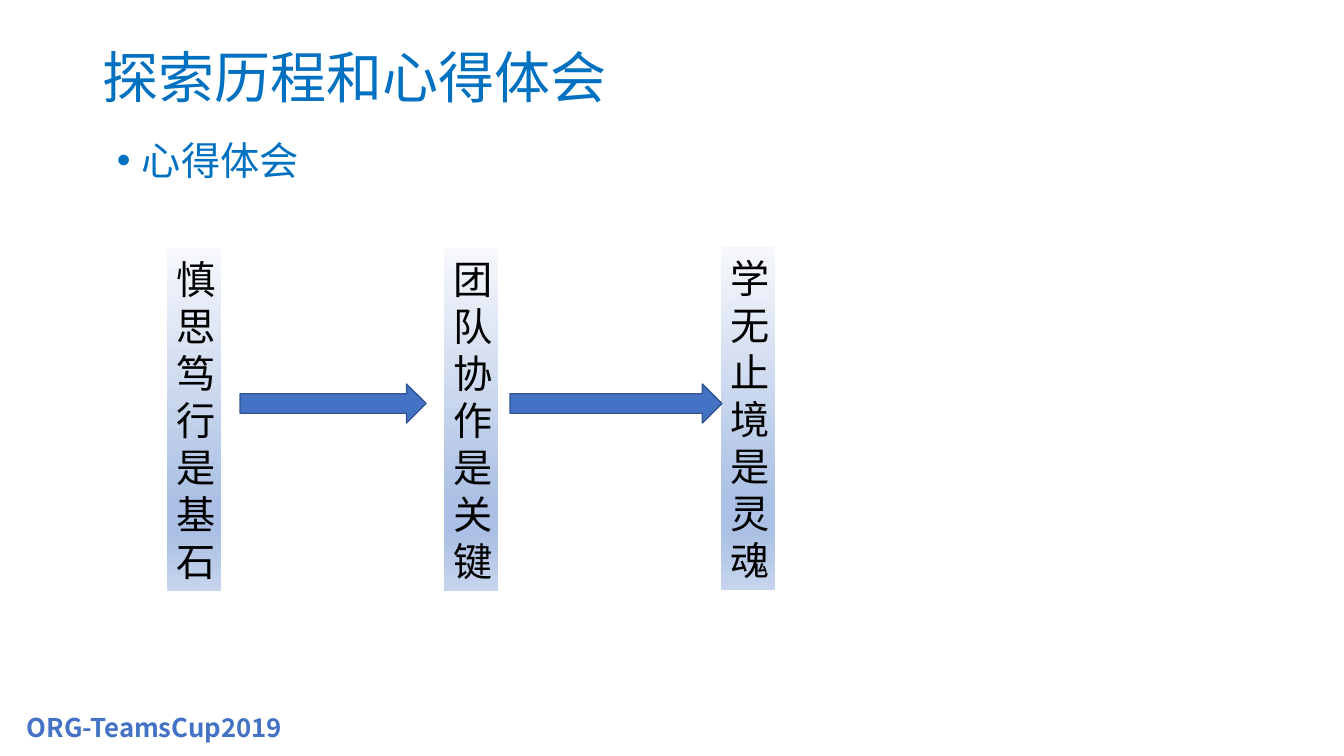
from dataclasses import dataclass

from lxml import etree
from pptx import Presentation
from pptx.dml.color import RGBColor
from pptx.enum.shapes import MSO_SHAPE
from pptx.enum.text import MSO_ANCHOR, PP_ALIGN
from pptx.oxml.ns import qn
from pptx.util import Emu, Pt

RECTANGLE, RIGHT_ARROW = MSO_SHAPE.RECTANGLE, MSO_SHAPE.RIGHT_ARROW
TOP, MIDDLE = MSO_ANCHOR.TOP, MSO_ANCHOR.MIDDLE
LEFT, CENTER = PP_ALIGN.LEFT, PP_ALIGN.CENTER
EMU_PER_PIXEL = 914400 / 100.8


@dataclass(frozen=True)
class Theme:
    """Colours, font and type sizes of the slide."""
    font: str = "Noto Sans CJK SC"
    heading: str = "0070C0"
    accent: str = "4472C4"
    arrow_edge: str = "325491"
    ink: str = "000000"
    panel_stops: tuple = ((0, "F6F8FC"), (74, "ABC0E4"),
                          (83, "ABC0E4"), (100, "C7D5ED"))
    title_size: float = 40
    body_size: float = 28
    footer_size: float = 18.4
    line_height: float = 1.2
    tight_line_height: float = 1.08


@dataclass(frozen=True)
class Box:
    """A frame in whole pixels."""
    left: int
    top: int
    width: int
    height: int


@dataclass(frozen=True)
class Lesson:
    """A lesson written down a narrow panel."""
    text: str
    box: Box
    align: PP_ALIGN = CENTER


THEME = Theme()
TITLE_BOX = Box(93, 44, 1159, 146)
BULLET_BOX = Box(107, 136, 1159, 59)
FOOTER_BOX = Box(17, 707, 1050, 73)
LESSONS = (
    Lesson("慎思笃行是基石", Box(167, 248, 54, 343)),
    Lesson("团队协作是关键", Box(444, 248, 54, 343)),
    Lesson("学无止境是灵魂", Box(721, 247, 54, 343), LEFT),
)
ARROWS = (Box(240, 384, 186, 39), Box(510, 384, 212, 39))


def px(pixels):
    """Turn pixels into EMU."""
    return Emu(round(pixels * EMU_PER_PIXEL))


def frame(box):
    """Give the left, top, width and height of a box in EMU."""
    return px(box.left), px(box.top), px(box.width), px(box.height)


def write(shape, text, *, size, color, bold=False, align=LEFT, anchor=TOP,
          line_height=THEME.line_height, bullet=False):
    """Put one formatted paragraph into a shape."""
    text_frame = shape.text_frame
    text_frame.word_wrap = True
    text_frame.vertical_anchor = anchor
    paragraph = text_frame.paragraphs[0]
    paragraph.alignment = align
    paragraph.line_spacing = Pt(size * line_height)
    run = paragraph.add_run()
    run.text = text
    run.font.size, run.font.bold, run.font.name = Pt(size), bold, THEME.font
    run.font.color.rgb = RGBColor.from_string(color)
    east_asian = etree.SubElement(run.font._element, qn("a:ea"))
    east_asian.set("typeface", THEME.font)
    if bullet:
        properties = paragraph._p.get_or_add_pPr()
        properties.set("marL", str(px(25)))
        properties.set("indent", str(-px(25)))
        bullet_font = etree.SubElement(properties, qn("a:buFont"))
        bullet_font.set("typeface", "Arial")
        etree.SubElement(properties, qn("a:buChar")).set("char", "•")


def add_text(slide, box, text, **text_format):
    """Add a text box."""
    write(slide.shapes.add_textbox(*frame(box)), text, **text_format)


def fill_gradient(shape, stops):
    """Fill a shape with colour stops from top to bottom."""
    shape.fill.gradient()
    shape.fill.gradient_angle = 270
    stop_list = shape._element.spPr.find(".//" + qn("a:gsLst"))
    for default_stop in list(stop_list):
        stop_list.remove(default_stop)
    for percent, color in stops:
        stop = etree.SubElement(stop_list, qn("a:gs"), pos=str(percent * 1000))
        etree.SubElement(stop, qn("a:srgbClr"), val=color)


def add_lesson(slide, lesson):
    """Add a lesson panel, one character to a line."""
    panel = slide.shapes.add_shape(RECTANGLE, *frame(lesson.box))
    panel.shadow.inherit = False
    panel.line.fill.background()
    fill_gradient(panel, THEME.panel_stops)
    write(panel, lesson.text, size=THEME.body_size, color=THEME.ink,
          align=lesson.align, anchor=MIDDLE)


def add_arrow(slide, box):
    """Add a block arrow between two lessons."""
    arrow = slide.shapes.add_shape(RIGHT_ARROW, *frame(box))
    arrow.shadow.inherit = False
    arrow.fill.solid()
    arrow.fill.fore_color.rgb = RGBColor.from_string(THEME.accent)
    arrow.line.color.rgb = RGBColor.from_string(THEME.arrow_edge)
    arrow.line.width = Pt(1)


def main():
    """Build and save the slide."""
    presentation = Presentation()
    presentation.slide_width, presentation.slide_height = px(1344), px(756)
    slide = presentation.slides.add_slide(presentation.slide_layouts[6])
    add_text(slide, FOOTER_BOX, "ORG-TeamsCup2019", size=THEME.footer_size,
             color=THEME.accent, bold=True)
    add_text(slide, TITLE_BOX, "探索历程和心得体会", size=THEME.title_size,
             color=THEME.heading, line_height=THEME.tight_line_height)
    for lesson in LESSONS:
        add_lesson(slide, lesson)
    add_text(slide, BULLET_BOX, "心得体会", size=THEME.body_size,
             color=THEME.heading, line_height=THEME.tight_line_height,
             bullet=True)
    for arrow_box in ARROWS:
        add_arrow(slide, arrow_box)
    presentation.save("out.pptx")


main()
